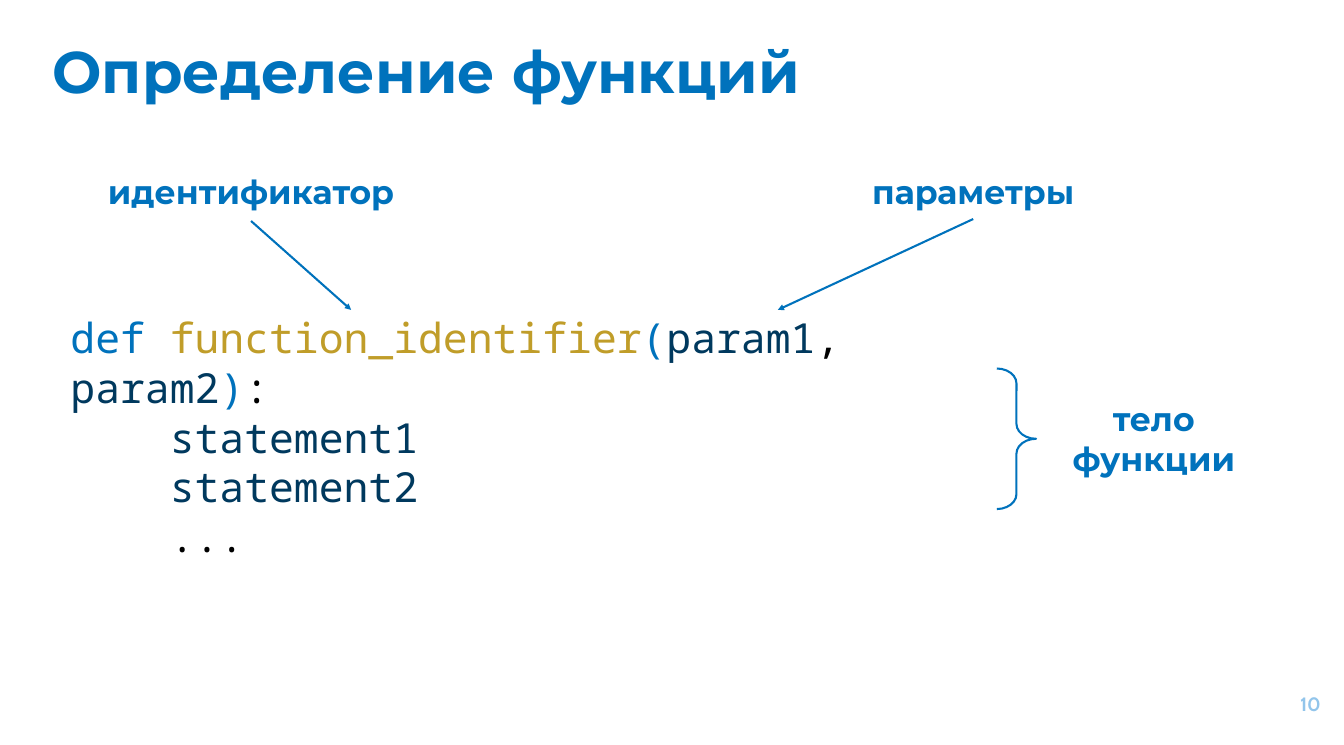
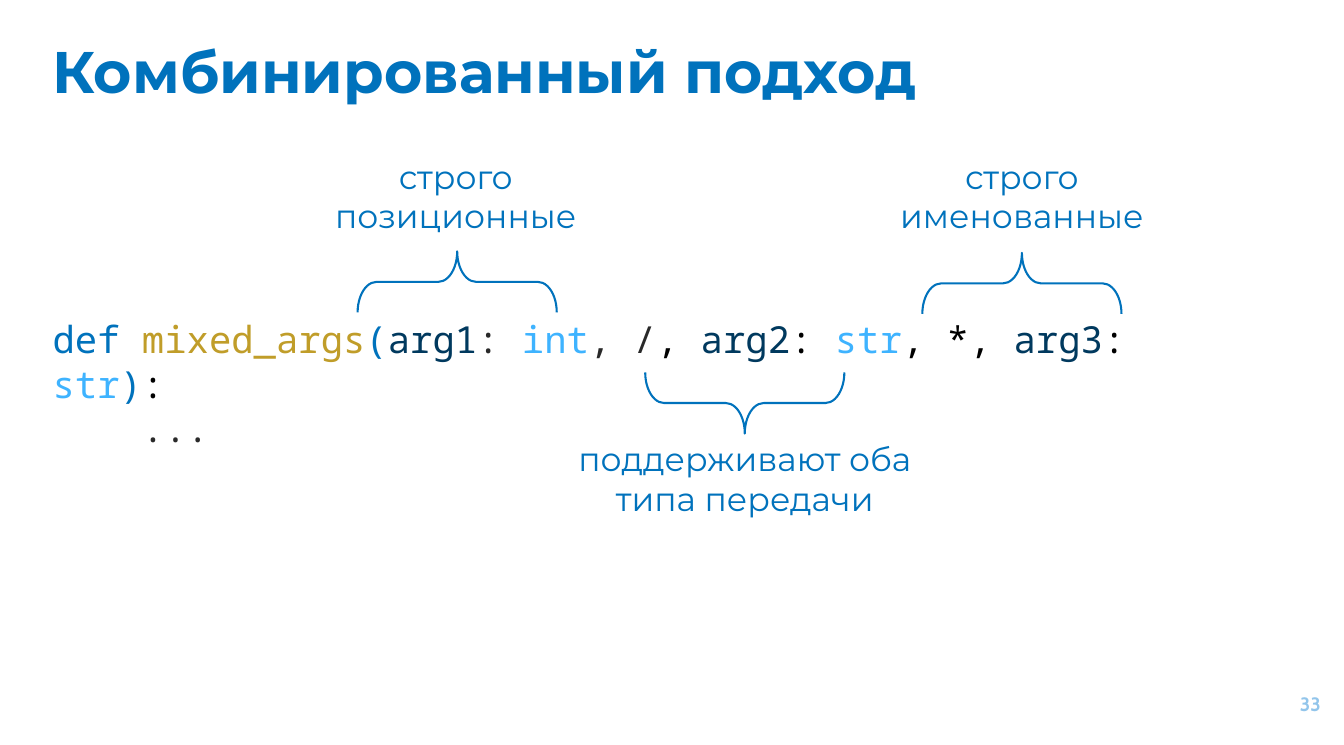
from dataclasses import dataclass

import lxml.etree
import pptx
import pptx.dml.color
import pptx.enum.shapes
import pptx.enum.text
import pptx.oxml.ns
import pptx.presentation
import pptx.shapes.autoshape
import pptx.slide
import pptx.text.text
import pptx.util

PX = 9144  # one px is a hundredth of an inch
ALIGN = pptx.enum.text.PP_ALIGN
ANCHOR = pptx.enum.text.MSO_ANCHOR
FIT = pptx.enum.text.MSO_AUTO_SIZE


@dataclass(frozen=True)
class Theme:
    blue: str = "0072BC"
    pale: str = "92C5EB"
    gold: str = "C09D29"
    navy: str = "00395E"
    sky: str = "3EB3FF"
    grey: str = "292929"
    black: str = "000000"
    sans: str = "Montserrat"
    mono: str = "Noto Sans Mono"
    digit: str = "Cabin"
    title: int = 85
    label: int = 48
    number: int = 28
    line: int = 3


THEME = Theme()


@dataclass(frozen=True)
class Box:
    left: int
    top: int
    width: int
    height: int

    def emu(self) -> tuple[int, ...]:
        return tuple(n * PX for n in (self.left, self.top, self.width, self.height))


@dataclass(frozen=True)
class Label:
    box: Box
    lines: tuple[str, ...]
    bold: bool = False
    grow: bool = True


@dataclass(frozen=True)
class Brace:
    box: Box
    turn: int
    curve: float


@dataclass(frozen=True)
class Token:
    text: str
    color: str


@dataclass(frozen=True)
class Line:
    tokens: tuple[Token, ...]
    level: int = 0


@dataclass(frozen=True)
class Code:
    box: Box
    size: int
    lines: tuple[Line, ...]


@dataclass(frozen=True)
class Arrow:
    label: int
    end: tuple[int, int]


@dataclass(frozen=True)
class Page:
    title: str
    number: str
    code: Code
    labels: tuple[Label, ...]
    braces: tuple[Brace, ...]
    arrows: tuple[Arrow, ...] = ()


def blue(text: str) -> Token:
    return Token(text, THEME.blue)


def gold(text: str) -> Token:
    return Token(text, THEME.gold)


def navy(text: str) -> Token:
    return Token(text, THEME.navy)


def sky(text: str) -> Token:
    return Token(text, THEME.sky)


def grey(text: str) -> Token:
    return Token(text, THEME.grey)


def black(text: str) -> Token:
    return Token(text, THEME.black)


TITLE = Box(96, 61, 2393, 192)
NUMBER = Box(2507, 1360, 162, 115)
ABOVE, BELOW = 270, 90

PAGES = (
    Page(
        "Определение функций",
        "10",
        Code(Box(132, 624, 1890, 465), 60, (
            Line((blue("def "), gold("function_identifier"), blue("("), navy("param1"),
                  black(", "), navy("param2"), blue(")"), black(":"))),
            Line((navy("statement1"),), 1),
            Line((navy("statement2"),), 1),
            Line((black("..."),), 1),
        )),
        (
            Label(Box(164, 340, 683, 105), ("идентификатор",), True, False),
            Label(Box(1715, 340, 489, 101), ("параметры",), True, False),
            Label(Box(2109, 798, 428, 172), ("тело", "функции"), True),
        ),
        (Brace(Box(2007, 742, 79, 283), 0, 0.38),),
        (Arrow(0, (707, 624)), Arrow(1, (1566, 624))),
    ),
    Page(
        "Комбинированный подход",
        "33",
        Code(Box(96, 632, 2418, 214), 54, (
            Line((blue("def "), gold("mixed_args"), blue("("), navy("arg1"), grey(": "),
                  sky("int"), grey(", /"), black(", "), navy("arg2"), black(": "),
                  sky("str"), black(", *, "), navy("arg3"), black(": "), sky("str"),
                  blue(")"), black(":"))),
            Line((grey("..."),), 1),
        )),
        (
            Label(Box(605, 309, 625, 172), ("строго позиционные",)),
            Label(Box(1745, 309, 625, 172), ("строго именованные",)),
            Label(Box(1125, 878, 749, 172), ("поддерживают оба типа передачи",)),
        ),
        tuple(
            Brace(Box(left, top, 123, 401), turn, 0.31)
            for left, top, turn in ((859, 367, ABOVE), (1996, 370, ABOVE), (1438, 611, BELOW))
        ),
    ),
)


def ink(color: str) -> pptx.dml.color.RGBColor:
    return pptx.dml.color.RGBColor.from_string(color)


def add_run(para: pptx.text.text._Paragraph, text: str, face: str, size: int,
            color: str, bold: bool = False) -> None:
    run = para.add_run()
    run.text = text
    run.font.name = face
    run.font.size = pptx.util.Pt(size)
    run.font.bold = bold
    run.font.color.rgb = ink(color)


def next_para(frame: pptx.text.text.TextFrame, index: int) -> pptx.text.text._Paragraph:
    return frame.add_paragraph() if index else frame.paragraphs[0]


def set_frame(frame: pptx.text.text.TextFrame, pad: bool = False) -> None:
    """Wrap the text from the top; pad evens out all four insets."""
    frame.word_wrap = True
    frame.auto_size = FIT.NONE
    frame.vertical_anchor = ANCHOR.TOP
    if pad:
        frame.margin_left = frame.margin_right = 10 * PX
        frame.margin_top = frame.margin_bottom = 10 * PX


def add_box(slide: pptx.slide.Slide, box: Box) -> pptx.shapes.autoshape.Shape:
    shape = slide.shapes.add_textbox(*box.emu())
    set_frame(shape.text_frame)
    return shape


def add_title(slide: pptx.slide.Slide, text: str) -> None:
    shape = slide.shapes.title
    shape.left, shape.top, shape.width, shape.height = TITLE.emu()
    set_frame(shape.text_frame, pad=True)
    para = shape.text_frame.paragraphs[0]
    para.alignment = ALIGN.LEFT
    add_run(para, text, THEME.sans, THEME.title, THEME.blue, True)


def add_number(slide: pptx.slide.Slide, text: str) -> None:
    frame = add_box(slide, NUMBER).text_frame
    set_frame(frame, pad=True)
    frame.vertical_anchor = ANCHOR.MIDDLE
    para = frame.paragraphs[0]
    para.alignment = ALIGN.RIGHT
    add_run(para, text, THEME.digit, THEME.number, THEME.pale, True)


def add_code(slide: pptx.slide.Slide, code: Code) -> None:
    """Write code lines; one level indents by four glyphs of 0.6 em."""
    frame = add_box(slide, code.box).text_frame
    step = pptx.util.Pt(4 * 0.6 * code.size)
    for index, line in enumerate(code.lines):
        para = next_para(frame, index)
        if line.level:
            props = para._p.get_or_add_pPr()
            props.set("marL", str(line.level * step))
            props.set("indent", "0")
        for token in line.tokens:
            add_run(para, token.text, THEME.mono, code.size, token.color)


def add_label(slide: pptx.slide.Slide, label: Label) -> pptx.shapes.autoshape.Shape:
    shape = add_box(slide, label.box)
    if label.grow:
        shape.text_frame.auto_size = FIT.SHAPE_TO_FIT_TEXT
    for index, text in enumerate(label.lines):
        para = next_para(shape.text_frame, index)
        para.alignment = ALIGN.CENTER
        add_run(para, text, THEME.sans, THEME.label, THEME.blue, label.bold)
    return shape


def add_brace(slide: pptx.slide.Slide, brace: Brace) -> None:
    kind = pptx.enum.shapes.MSO_SHAPE.RIGHT_BRACE
    shape = slide.shapes.add_shape(kind, *brace.box.emu())
    shape.shadow.inherit = False
    shape.rotation = brace.turn
    shape.adjustments[0] = brace.curve
    shape.adjustments[1] = 0.5
    shape.fill.background()
    shape.line.color.rgb = ink(THEME.blue)
    shape.line.width = pptx.util.Pt(THEME.line)


def add_arrow(slide: pptx.slide.Slide, start: pptx.shapes.autoshape.Shape,
              end: tuple[int, int]) -> None:
    kind = pptx.enum.shapes.MSO_CONNECTOR.STRAIGHT
    tip = [n * PX for n in end]
    arrow = slide.shapes.add_connector(kind, *tip, *tip)
    arrow.begin_connect(start, 2)
    arrow.line.color.rgb = ink(THEME.blue)
    arrow.line.width = pptx.util.Pt(THEME.line)
    qn = pptx.oxml.ns.qn
    head = lxml.etree.SubElement(arrow.line._get_or_add_ln(), qn("a:tailEnd"))
    head.set("type", "triangle")
    lxml.etree.SubElement(arrow._element.spPr, qn("a:effectLst"))


def add_page(deck: pptx.presentation.Presentation, page: Page) -> None:
    slide = deck.slides.add_slide(deck.slide_layouts.get_by_name("Title Only"))
    add_title(slide, page.title)
    add_number(slide, page.number)
    add_code(slide, page.code)
    for brace in page.braces:
        add_brace(slide, brace)
    labels = [add_label(slide, label) for label in page.labels]
    for arrow in page.arrows:
        add_arrow(slide, labels[arrow.label], arrow.end)


def main() -> None:
    deck = pptx.Presentation()
    deck.slide_width = 2706 * PX
    deck.slide_height = 1500 * PX
    for page in PAGES:
        add_page(deck, page)
    deck.save("out.pptx")


if __name__ == "__main__":
    main()
